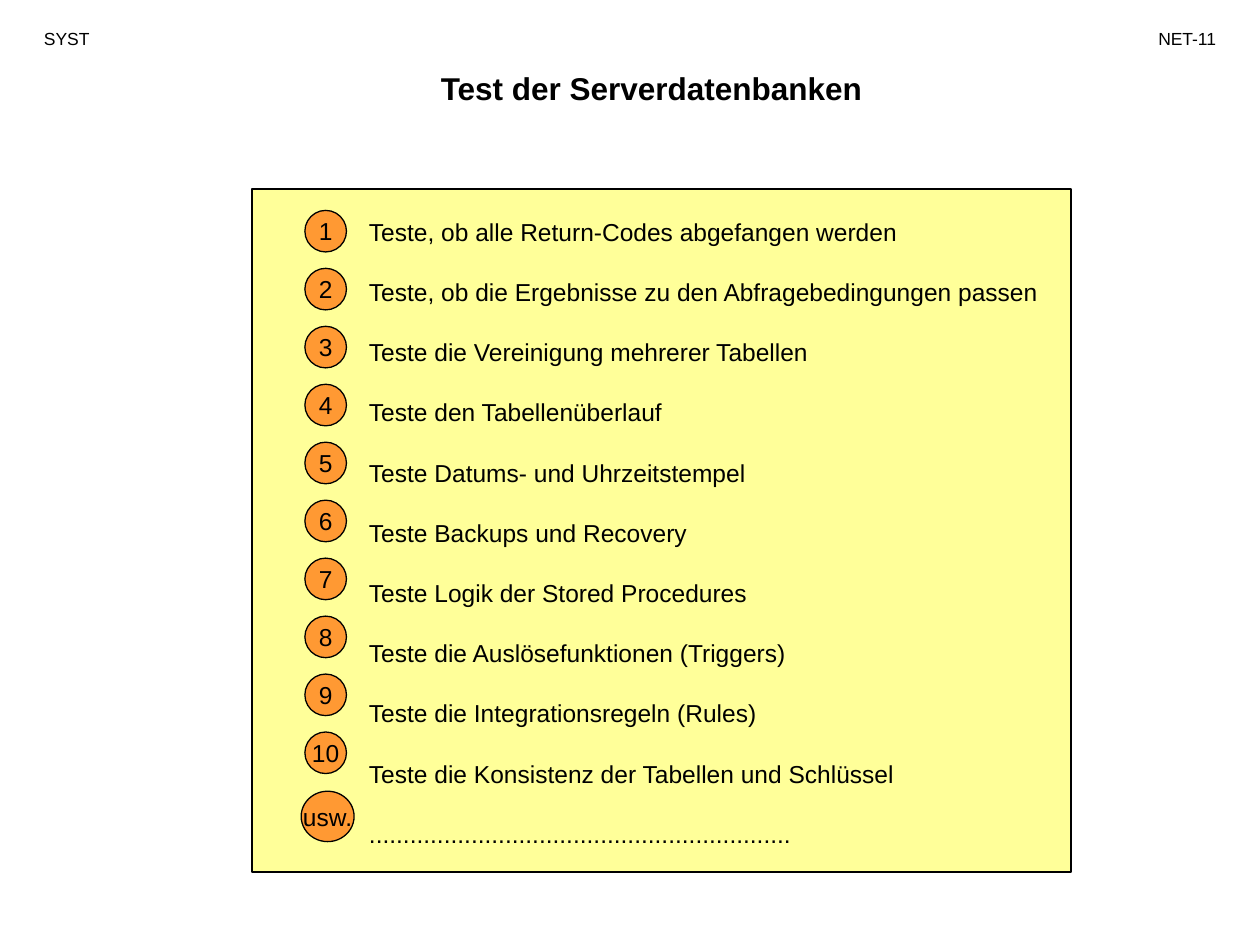
from pptx import Presentation
from pptx.dml.color import RGBColor
from pptx.enum import shapes, text
from pptx.util import Inches, Pt

TITLE = "Test der Serverdatenbanken"
HEADERS = [
    ("SYST", (0.25, 0.17, 0.92, 0.27), text.PP_ALIGN.LEFT),
    ("NET-11", (8.75, 0.17, 1, 0.27), text.PP_ALIGN.RIGHT),
]
CHECKS = [
    "Teste, ob alle Return-Codes abgefangen werden",
    "Teste, ob die Ergebnisse zu den Abfragebedingungen passen",
    "Teste die Vereinigung mehrerer Tabellen",
    "Teste den Tabellenüberlauf",
    "Teste Datums- und Uhrzeitstempel",
    "Teste Backups und Recovery",
    "Teste Logik der Stored Procedures",
    "Teste die Auslösefunktionen (Triggers)",
    "Teste die Integrationsregeln (Rules)",
    "Teste die Konsistenz der Tabellen und Schlüssel",
    "..............................................................",
]
LAST_LABEL = "usw."

BLACK, YELLOW, ORANGE = "000000", "FFFF99", "FF9933"
LIST_TOP = 1.67
BADGE_LEFT, BADGE_SIZE, BADGE_PITCH = 2.42, 0.33, 0.46
LAST_BADGE = (2.39, 6.28, 0.42, 0.4)
CHECK_GAP = 17.6


def color(value):
    return RGBColor.from_string(value)


def write(shape, lines, size, align=text.PP_ALIGN.LEFT, bold=False,
          anchor=text.MSO_ANCHOR.TOP, wrap=True, gap=0):
    """Fill a shape with one paragraph per line, gap points apart."""
    frame = shape.text_frame
    frame.text = "\n".join(lines)
    frame.word_wrap = wrap
    frame.auto_size = text.MSO_AUTO_SIZE.NONE
    frame.vertical_anchor = anchor
    for index, paragraph in enumerate(frame.paragraphs):
        paragraph.alignment = align
        paragraph.space_before = Pt(gap if index else 0)
        for run in paragraph.runs:
            run.font.name = "Arial"
            run.font.size = Pt(size)
            run.font.bold = bold
            run.font.color.rgb = color(BLACK)


def add_outlined(slide, kind, box, fill):
    shape = slide.shapes.add_shape(kind, *map(Inches, box))
    shape.shadow.inherit = False
    shape.fill.solid()
    shape.fill.fore_color.rgb = color(fill)
    shape.line.color.rgb = color(BLACK)
    shape.line.width = Pt(0.75)
    return shape


def add_text(slide, box, lines, size, **options):
    write(slide.shapes.add_textbox(*map(Inches, box)), lines, size, **options)


def add_badge(slide, box, label):
    badge = add_outlined(slide, shapes.MSO_SHAPE.OVAL, box, ORANGE)
    write(badge, [label], 14, align=text.PP_ALIGN.CENTER,
          anchor=text.MSO_ANCHOR.MIDDLE, wrap=False)


def main():
    presentation = Presentation()
    presentation.slide_width, presentation.slide_height = Inches(10), Inches(7.5)
    slide = presentation.slides.add_slide(presentation.slide_layouts[5])

    title = slide.shapes.title
    title.left, title.top, title.width, title.height = map(Inches, (2.17, 0.5, 6, 0.4))
    write(title, [TITLE], 18, align=text.PP_ALIGN.CENTER, bold=True)
    for label, box, align in HEADERS:
        add_text(slide, box, [label], 10, align=align)

    add_outlined(slide, shapes.MSO_SHAPE.RECTANGLE, (2, 1.5, 6.5, 5.42), YELLOW)
    add_text(slide, (2.83, LIST_TOP, 5.75, 5.01), CHECKS, 14, gap=CHECK_GAP)
    for index in range(len(CHECKS) - 1):
        top = LIST_TOP + index * BADGE_PITCH
        add_badge(slide, (BADGE_LEFT, top, BADGE_SIZE, BADGE_SIZE), str(index + 1))
    add_badge(slide, LAST_BADGE, LAST_LABEL)

    presentation.save("out.pptx")


if __name__ == "__main__":
    main()
